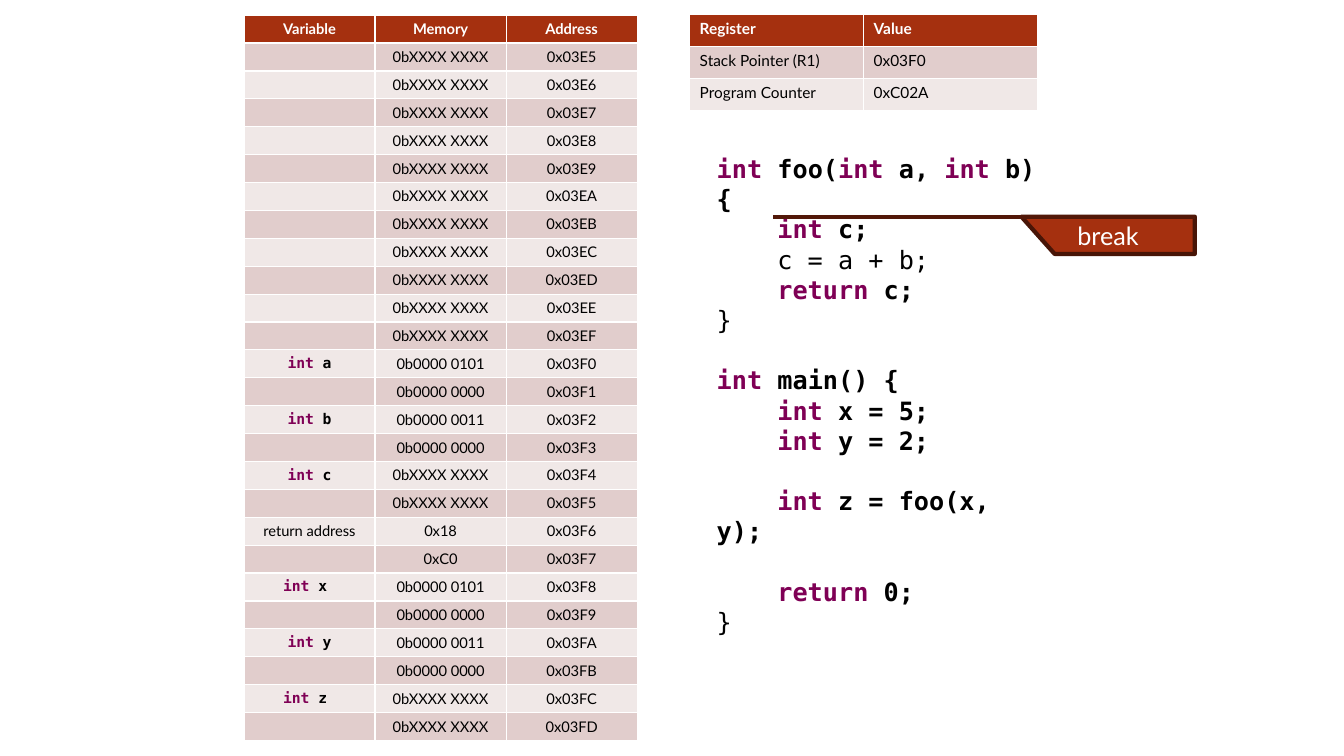
from pptx import Presentation
from pptx.dml.color import RGBColor
from pptx.enum.shapes import MSO_CONNECTOR as Connector
from pptx.enum.text import MSO_ANCHOR as Anchor, PP_ALIGN as Align
from pptx.util import Inches, Pt
from lxml import etree

# Content: keywords stand between bars
UNKNOWN = "0bXXXX XXXX"
FIRST_ADDRESS = 0x03E5
MEMORY = [("", UNKNOWN)] * 11 + [
    ("|int| a", "0b0000 0101"), ("", "0b0000 0000"),
    ("|int| b", "0b0000 0011"), ("", "0b0000 0000"),
    ("|int| c", UNKNOWN), ("", UNKNOWN),
    ("return address", "0x18"), ("", "0xC0"),
    ("|int| x ", "0b0000 0101"), ("", "0b0000 0000"),
    ("|int| y", "0b0000 0011"), ("", "0b0000 0000"),
    ("|int| z ", UNKNOWN), ("", UNKNOWN),
]
MEMORY_ROWS = [("Variable", "Memory", "Address")] + [
    (name, value, f"0x{FIRST_ADDRESS + step:04X}")
    for step, (name, value) in enumerate(MEMORY)
]
REGISTER_ROWS = [
    ("Register", "Value"),
    ("Stack Pointer (R1)", "0x03F0"),
    ("Program Counter", "0xC02A"),
]
# Each block is set apart by one line of space
CODE_BLOCKS = [
    ["|int| foo(|int| a, |int| b){", "    |int| c;", "    c = a + b;",
     "    |return| c;", "}"],
    ["|int| main() {", "    |int| x = 5;", "    |int| y = 2;"],
    ["    |int| z = foo(x, y);"],
    ["    |return| 0;", "}"],
]

# Style
COLORS = {name: RGBColor.from_string(value) for name, value in {
    "header": "A5300F", "dark band": "E1CDCC", "light band": "F0E8E7",
    "keyword": "7F0055", "text": "000000", "white": "FFFFFF",
    "flag edge": "481507", "break line": "521808",
}.items()}
SANS, MONO = "Lato", "DejaVu Sans Mono"
CODE_SIZE, CODE_GAP = 18, 21.5

deck = Presentation()
deck.slide_width, deck.slide_height = Inches(13.33), Inches(7.5)
page = deck.slides.add_slide(deck.slide_layouts[6])


def write(para, text, size, color="text", bold=False):
    """Fill a paragraph; text with keywords is bold monospace."""
    has_keyword = "|" in text
    para.font.size = Pt(size)
    para.font.name = MONO if has_keyword else SANS
    para.font.bold = bold or has_keyword
    para.font.color.rgb = COLORS[color]
    for index, part in enumerate(text.split("|")):
        if part:
            span = para.add_run()
            span.text = part
            if index % 2:
                span.font.color.rgb = COLORS["keyword"]
    if not text:
        para._p.get_or_add_endParaRPr().set("sz", str(int(size * 100)))


def add_grid(rows, left, top, width, height, size, align):
    shape = page.shapes.add_table(
        len(rows), len(rows[0]), *map(Inches, (left, top, width, height)))
    for r, row in enumerate(rows):
        band = "header" if r == 0 else "dark band" if r % 2 else "light band"
        for c, text in enumerate(row):
            cell = shape.table.cell(r, c)
            cell.fill.solid()
            cell.fill.fore_color.rgb = COLORS[band]
            para = cell.text_frame.paragraphs[0]
            para.alignment = align
            write(para, text, size, "text" if r else "white", r == 0)


# Memory table
add_grid(MEMORY_ROWS, 2.42, 0.15, 3.9, 7.2, 10.5, Align.CENTER)

# Code listing
box = page.shapes.add_textbox(*map(Inches, (7.01, 1.47, 3.45, 4.34)))
box.text_frame.word_wrap = True
para = box.text_frame.paragraphs[0]
for b, block in enumerate(CODE_BLOCKS):
    for n, line in enumerate(block):
        if b or n:
            para = box.text_frame.add_paragraph()
        if b and n == 0:
            para.space_before = Pt(CODE_GAP)
        write(para, line, CODE_SIZE)
        para.font.name = MONO

# Register table
add_grid(REGISTER_ROWS, 6.84, 0.14, 3.45, 0.96, 11, Align.LEFT)

# Break flag
LINE_START, FLAG_LEFT, FLAG_FOOT, FLAG_RIGHT = 7.67, 10.13, 10.46, 11.85
FLAG_TOP, FLAG_BOTTOM = 2.15, 2.52
outline = page.shapes.build_freeform(
    Inches(FLAG_RIGHT), Inches(FLAG_TOP), scale=1.0)
outline.add_line_segments([(Inches(x), Inches(y)) for x, y in (
    (FLAG_LEFT, FLAG_TOP), (FLAG_FOOT, FLAG_BOTTOM), (FLAG_RIGHT, FLAG_BOTTOM),
)], close=True)
flag = outline.convert_to_shape()
flag.shadow.inherit = False
flag.fill.solid()
flag.fill.fore_color.rgb = COLORS["header"]
flag.line.color.rgb = COLORS["flag edge"]
flag.line.width = Pt(3)
flag.text_frame.vertical_anchor = Anchor.MIDDLE
label = flag.text_frame.paragraphs[0]
label.alignment = Align.CENTER
write(label, "break", 18, "white")

# Break line
rule = page.shapes.add_connector(
    Connector.STRAIGHT, Inches(LINE_START), Inches(FLAG_TOP),
    Inches(FLAG_RIGHT), Inches(FLAG_TOP))
rule.line.color.rgb = COLORS["break line"]
rule.line.width = Pt(3)
etree.SubElement(
    rule._element.spPr,
    "{http://schemas.openxmlformats.org/drawingml/2006/main}effectLst")

deck.save("out.pptx")
